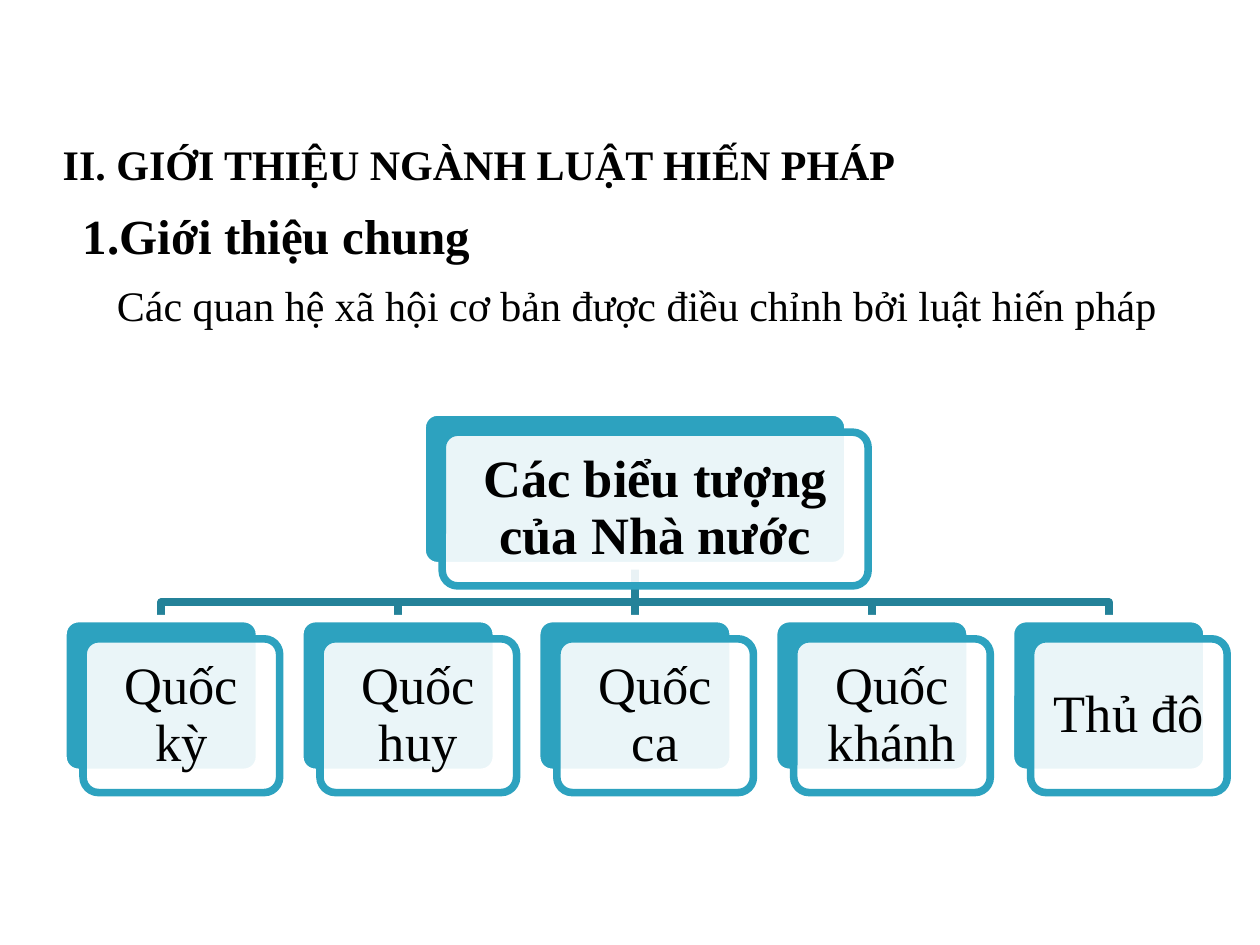
from lxml import etree
from pptx import Presentation
from pptx.dml.color import RGBColor
from pptx.enum.shapes import MSO_CONNECTOR, MSO_SHAPE
from pptx.enum.text import MSO_ANCHOR, PP_ALIGN
from pptx.oxml.ns import qn
from pptx.util import Inches, Pt

BLACK = RGBColor(0, 0, 0)
WHITE = RGBColor(0xFF, 0xFF, 0xFF)
TEAL = RGBColor(0x2D, 0xA2, 0xBF)
DARK_TEAL = RGBColor(0x24, 0x82, 0x99)
LINE_WIDTH = Pt(4.33)

SYMBOLS = ["Quốc kỳ", "Quốc huy", "Quốc ca", "Quốc khánh", "Thủ đô"]
CENTER_X = 5.04
PITCH = 1.88
ROOT_TOP, CHILD_TOP, BRANCH_Y = 3.27, 4.91, 4.78
ROOT_WIDTH, CHILD_WIDTH, CARD_HEIGHT = 3.38, 1.56, 1.22
ROOT_BOTTOM = ROOT_TOP + CARD_HEIGHT
CARD_OFFSET = 0.16


def write_text(frame, text, size, bold=False, align=PP_ALIGN.LEFT,
               anchor=MSO_ANCHOR.TOP):
    frame.word_wrap = True
    frame.vertical_anchor = anchor
    paragraph = frame.paragraphs[0]
    paragraph.alignment = align
    run = paragraph.add_run()
    run.text = text
    formats = {"name": "Times New Roman", "size": Pt(size), "bold": bold}
    for attribute, value in formats.items():
        setattr(run.font, attribute, value)
    run.font.color.rgb = BLACK
    return paragraph


def add_text(slide, box, text, size, **formats):
    frame = slide.shapes.add_textbox(*map(Inches, box)).text_frame
    return write_text(frame, text, size, **formats)


def number_paragraph(paragraph, margin, indent):
    properties = paragraph._p.get_or_add_pPr()
    properties.set("marL", str(Inches(margin)))
    properties.set("indent", str(Inches(indent)))
    numbering = etree.SubElement(properties, qn("a:buAutoNum"))
    numbering.set("type", "arabicPeriod")


def style_line(line, color):
    line.color.rgb = color
    line.width = LINE_WIDTH


def add_branch(slide, child_x):
    """Elbow line from the root card down to one child card."""
    builder = slide.shapes.build_freeform(
        Inches(CENTER_X), Inches(ROOT_BOTTOM))
    corners = [(CENTER_X, BRANCH_Y), (child_x, BRANCH_Y), (child_x, CHILD_TOP)]
    builder.add_line_segments(
        [(Inches(x), Inches(y)) for x, y in corners], close=False)
    branch = builder.convert_to_shape()
    branch.shadow.inherit = False
    branch.fill.background()
    style_line(branch.line, DARK_TEAL)


def add_trunk(slide):
    """Straight line from the root card to the middle child card."""
    trunk = slide.shapes.add_connector(
        MSO_CONNECTOR.STRAIGHT, Inches(CENTER_X), Inches(ROOT_BOTTOM),
        Inches(CENTER_X), Inches(CHILD_TOP))
    style_line(trunk.line, DARK_TEAL)
    etree.SubElement(trunk._element.spPr, qn("a:effectLst"))
    return trunk


def add_panel(slide, left, top, width, fill, outline):
    panel = slide.shapes.add_shape(
        MSO_SHAPE.ROUNDED_RECTANGLE, Inches(left), Inches(top),
        Inches(width), Inches(CARD_HEIGHT))
    panel.adjustments[0] = 0.1
    panel.shadow.inherit = False
    panel.fill.solid()
    panel.fill.fore_color.rgb = fill
    style_line(panel.line, outline)
    return panel


def add_card(slide, center_x, top, width, text, bold=False):
    """Teal back panel with a translucent labelled panel in front."""
    left = center_x - width / 2
    back = add_panel(slide, left, top, width, TEAL, WHITE)
    front = add_panel(slide, left + CARD_OFFSET, top + CARD_OFFSET, width,
                      WHITE, TEAL)
    color = front._element.spPr.find(qn("a:solidFill"))[0]
    etree.SubElement(color, qn("a:alpha")).set("val", "90000")
    for side in ("left", "top", "right", "bottom"):
        setattr(front.text_frame, f"margin_{side}", Inches(0.12))
    label = write_text(front.text_frame, text, 30, bold=bold,
                       align=PP_ALIGN.CENTER, anchor=MSO_ANCHOR.MIDDLE)
    label.line_spacing = 0.9
    return back


def main():
    presentation = Presentation()
    presentation.slide_width = Inches(10)
    presentation.slide_height = Inches(7.5)
    slide = presentation.slides.add_slide(presentation.slide_layouts[6])

    # Headings
    section = add_text(slide, (-0.25, 1.58, 4.5, 0.58), "Giới thiệu chung",
                       28, bold=True)
    section.space_before = Pt(4)
    number_paragraph(section, 0.62, 0.19)
    add_text(slide, (0.83, 2.17, 9.08, 0.5),
             "Các quan hệ xã hội cơ bản được điều chỉnh bởi luật hiến pháp", 24)
    add_text(slide, (0, 0.92, 7.67, 0.75),
             "II. GIỚI THIỆU NGÀNH LUẬT HIẾN PHÁP ", 24, bold=True,
             align=PP_ALIGN.CENTER, anchor=MSO_ANCHOR.MIDDLE)

    # Lines lie behind the cards
    middle = len(SYMBOLS) // 2
    centers = [CENTER_X + (i - middle) * PITCH for i in range(len(SYMBOLS))]
    for center in centers:
        if center != CENTER_X:
            add_branch(slide, center)
    trunk = add_trunk(slide)

    # Cards
    root = add_card(slide, CENTER_X, ROOT_TOP, ROOT_WIDTH,
                    "Các biểu tượng của Nhà nước", bold=True)
    children = [add_card(slide, center, CHILD_TOP, CHILD_WIDTH, symbol)
                for center, symbol in zip(centers, SYMBOLS)]
    trunk.begin_connect(root, 2)
    trunk.end_connect(children[middle], 0)

    presentation.save("out.pptx")


if __name__ == "__main__":
    main()
